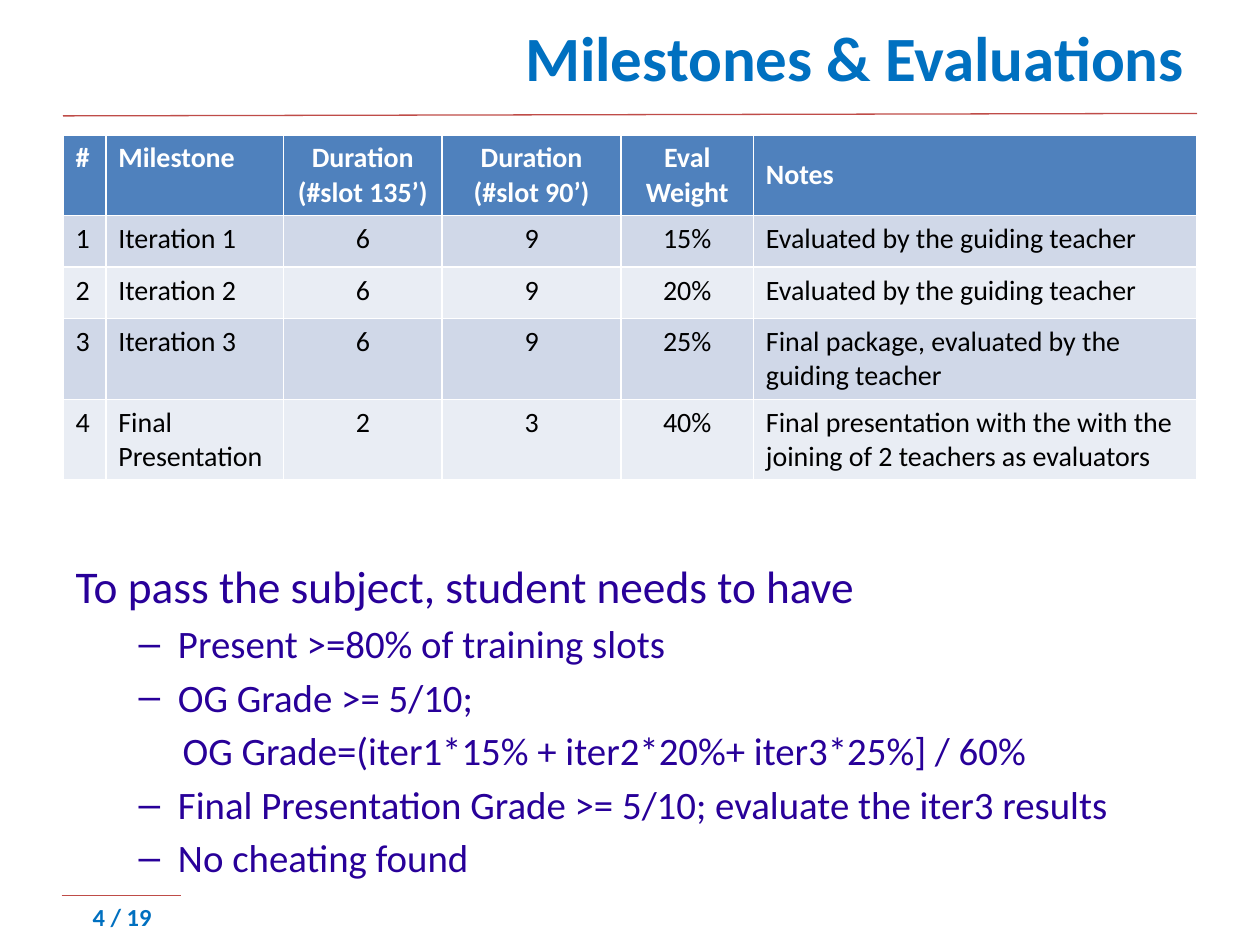
from pptx import Presentation
from pptx.dml.color import RGBColor
from pptx.enum import shapes, text
from pptx.oxml.ns import qn
from pptx.util import Inches, Pt
from lxml import etree

FONT = "Calibri"
BLUE = RGBColor(0x00, 0x70, 0xC0)
RED = RGBColor(0xBF, 0x4C, 0x48)
INDIGO = RGBColor(0x28, 0x00, 0x99)
HEADER = RGBColor(0x4F, 0x81, 0xBD)
BANDS = (RGBColor(0xE9, 0xED, 0xF4), RGBColor(0xD0, 0xD8, 0xE8))
WHITE = RGBColor(0xFF, 0xFF, 0xFF)
BLACK = RGBColor(0x00, 0x00, 0x00)
LEFT, CENTER, RIGHT = text.PP_ALIGN.LEFT, text.PP_ALIGN.CENTER, text.PP_ALIGN.RIGHT

# Content
TITLE = "Milestones & Evaluations"
PAGE_NUMBER = "4 / 19"
MILESTONES = [
    ("#", "Milestone", "Duration\n(#slot 135’)", "Duration\n(#slot 90’)", "Eval Weight", "Notes"),
    ("1", "Iteration 1", "6", "9", "15%", "Evaluated by the guiding teacher"),
    ("2", "Iteration 2", "6", "9", "20%", "Evaluated by the guiding teacher"),
    ("3", "Iteration 3", "6", "9", "25%", "Final package, evaluated by the guiding teacher"),
    ("4", "Final Presentation", "2", "3", "40%",
     "Final presentation with the with the joining of 2 teachers as evaluators"),
]
COLUMNS = [(0.34, LEFT), (1.41, LEFT), (1.26, CENTER), (1.42, CENTER), (1.05, CENTER), (3.52, LEFT)]
ROW_HEIGHTS = [0.64, 0.41, 0.41, 0.64, 0.64]
# Requirements: text, level, bulleted
REQUIREMENTS = [
    ("To pass the subject, student needs to have", 0, False),
    ("Present >=80% of training slots", 1, True),
    ("OG Grade >= 5/10;", 1, True),
    ("OG Grade=(iter1*15% + iter2*20%+ iter3*25%] / 60%", 1, False),
    ("Final Presentation Grade >= 5/10; evaluate the iter3 results", 1, True),
    ("No cheating found", 1, True),
]
LEVEL_SIZES = (25.9, 22.2)
PLAIN_INDENTS = (0, 0.85)


def place(box, left, top, width, height):
    box.left, box.top = Inches(left), Inches(top)
    box.width, box.height = Inches(width), Inches(height)


def write(para, words, size, color, bold=False, align=LEFT):
    para.alignment = align
    span = para.add_run()
    span.text = words
    span.font.name, span.font.size, span.font.bold = FONT, Pt(size), bold
    span.font.color.rgb = color


def add_rule(page, x1, y1, x2, y2):
    rule = page.shapes.add_connector(
        shapes.MSO_CONNECTOR.STRAIGHT, Inches(x1), Inches(y1), Inches(x2), Inches(y2))
    rule.line.color.rgb = RED
    rule.line.width = Pt(0.75)
    etree.SubElement(rule._element.spPr, qn("a:effectLst"))


def remove_bullet(para, indent):
    properties = para._p.get_or_add_pPr()
    properties.set("marL", str(Inches(indent)))
    properties.set("indent", "0")
    etree.SubElement(properties, qn("a:buNone"))


deck = Presentation()
deck.slide_width, deck.slide_height = Inches(10), Inches(7.5)
page = deck.slides.add_slide(deck.slide_layouts[1])

# Rules and page number
add_rule(page, 0.5, 0.92, 9.5, 0.9)
add_rule(page, 0.49, 7.11, 1.44, 7.11)
number = page.shapes.add_textbox(Inches(0.49), Inches(7.11), Inches(0.96), Inches(0.39))
number.text_frame.word_wrap = True
write(number.text_frame.paragraphs[0], PAGE_NUMBER, 14, BLUE, True, CENTER)

# Title
title = page.shapes.title
place(title, 2.1, 0, 7.4, 0.9)
title.text_frame.auto_size = text.MSO_AUTO_SIZE.NONE
title.text_frame.vertical_anchor = text.MSO_ANCHOR.MIDDLE
write(title.text_frame.paragraphs[0], TITLE, 36, BLUE, True, RIGHT)

# Milestone table
table = page.shapes.add_table(
    len(MILESTONES), len(COLUMNS), Inches(0.5), Inches(1.07),
    Inches(sum(width for width, _ in COLUMNS)), Inches(sum(ROW_HEIGHTS))).table
for column, (width, _) in zip(table.columns, COLUMNS):
    column.width = Inches(width)
for r, (row, height) in enumerate(zip(MILESTONES, ROW_HEIGHTS)):
    table.rows[r].height = Inches(height)
    for c, words in enumerate(row):
        cell = table.cell(r, c)
        cell.fill.solid()
        cell.fill.fore_color.rgb = BANDS[r % 2] if r else HEADER
        for i, line in enumerate(words.split("\n")):
            frame = cell.text_frame
            para = frame.add_paragraph() if i else frame.paragraphs[0]
            write(para, line, 16, BLACK if r else WHITE, r == 0, COLUMNS[c][1])
table.cell(0, len(COLUMNS) - 1).vertical_anchor = text.MSO_ANCHOR.MIDDLE

# Requirements list
body = page.placeholders[1]
place(body, 0.5, 4.38, 9, 2.6)
frame = body.text_frame
frame.auto_size = text.MSO_AUTO_SIZE.NONE
for i, (words, level, bulleted) in enumerate(REQUIREMENTS):
    para = frame.add_paragraph() if i else frame.paragraphs[0]
    para.level = level
    para.space_before = Pt(4 if i else 0)
    if not bulleted:
        remove_bullet(para, PLAIN_INDENTS[level])
    write(para, words, LEVEL_SIZES[level], INDIGO)

deck.save("out.pptx")
